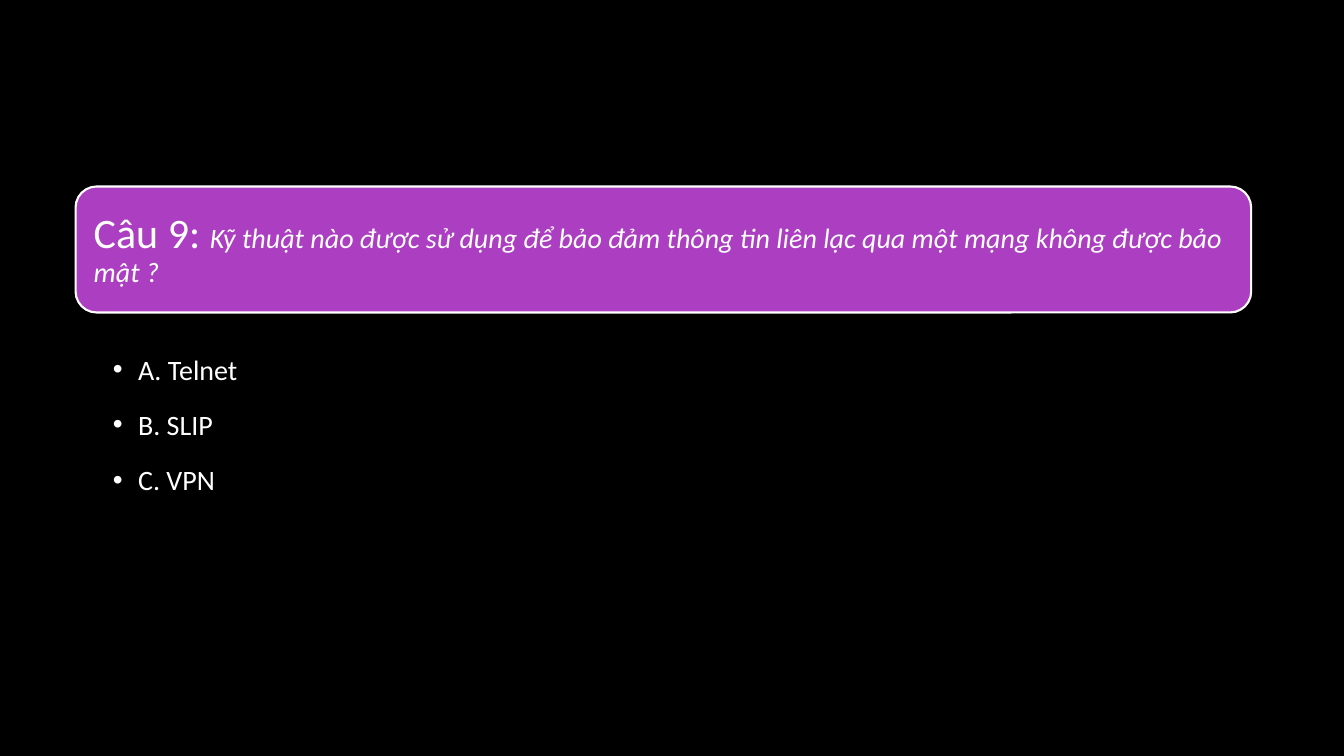
import pptx
import pptx.util
import pptx.dml.color
import pptx.enum.shapes
import pptx.enum.text
import pptx.oxml.ns
from lxml import etree

Inches = pptx.util.Inches
Pt = pptx.util.Pt
ANCHOR = pptx.enum.text.MSO_ANCHOR


def rgb(value):
    return pptx.dml.color.RGBColor.from_string(value)


def apply(target, values):
    for name, value in values.items():
        setattr(target, name, value)


class QuizSlide:
    font = "Calibri"
    text_color = "FFFFFF"
    background = "000000"
    banner_fill = "AC3EC1"

    def __init__(self, prs):
        self.s = prs.slides.add_slide(prs.slide_layouts[6])
        fill = self.s.background.fill
        fill.solid()
        fill.fore_color.rgb = rgb(self.background)

    def banner(self, box):
        sp = self.s.shapes.add_shape(
            pptx.enum.shapes.MSO_SHAPE.ROUNDED_RECTANGLE, *map(Inches, box))
        sp.shadow.inherit = False
        sp.fill.solid()
        sp.fill.fore_color.rgb = rgb(self.banner_fill)
        sp.line.color.rgb = rgb(self.text_color)
        sp.line.width = Pt(1.5)

    def text(self, box, paragraphs, margins, anchor, spacing, bullet=None):
        tf = self.s.shapes.add_textbox(*map(Inches, box)).text_frame
        sides = ("margin_left", "margin_top", "margin_right", "margin_bottom")
        apply(tf, dict(zip(sides, map(Inches, margins))))
        apply(tf, {"word_wrap": True, "vertical_anchor": anchor})
        for i, runs in enumerate(paragraphs):
            p = tf.add_paragraph() if i else tf.paragraphs[0]
            apply(p, spacing)
            if bullet:
                self.bullet(p, bullet)
            for content, style in runs:
                r = p.add_run()
                r.text = content
                apply(r.font, {"name": self.font, **style})
                r.font.color.rgb = rgb(self.text_color)

    def bullet(self, p, char):
        p.level = 1
        pPr = p._p.get_or_add_pPr()
        pPr.set("marL", str(Inches(0.25)))
        pPr.set("indent", str(Inches(-0.25)))
        qn = pptx.oxml.ns.qn
        etree.SubElement(pPr, qn("a:buFont")).set("typeface", "Arial")
        etree.SubElement(pPr, qn("a:buChar")).set("char", char)


def main():
    prs = pptx.Presentation()
    apply(prs, {"slide_width": Inches(13.33), "slide_height": Inches(7.5)})
    quiz = QuizSlide(prs)

    quiz.banner((0.75, 1.85, 11.66, 1.25))
    question = [
        ("Câu 9: ", {"size": Pt(30)}),
        ("Kỹ thuật nào được sử dụng để bảo đảm thông tin liên lạc "
         "qua một mạng không được bảo mật ?", {"size": Pt(20), "italic": True}),
    ]
    quiz.text((0.81, 1.92, 11.53, 1.13), [question], [0.12] * 4, ANCHOR.MIDDLE,
              {"line_spacing": 0.9, "space_after": Pt(7)})

    answers = ["A. Telnet", "B. SLIP", "C. VPN"]
    quiz.text((0.75, 3.3, 11.66, 1.93),
              [[(answer, {"size": Pt(20)})] for answer in answers],
              (0.37, 0.03, 0.16, 0.03), ANCHOR.TOP,
              {"line_spacing": 1.5, "space_after": Pt(3.4)}, bullet="•")

    prs.save("out.pptx")


if __name__ == "__main__":
    main()
